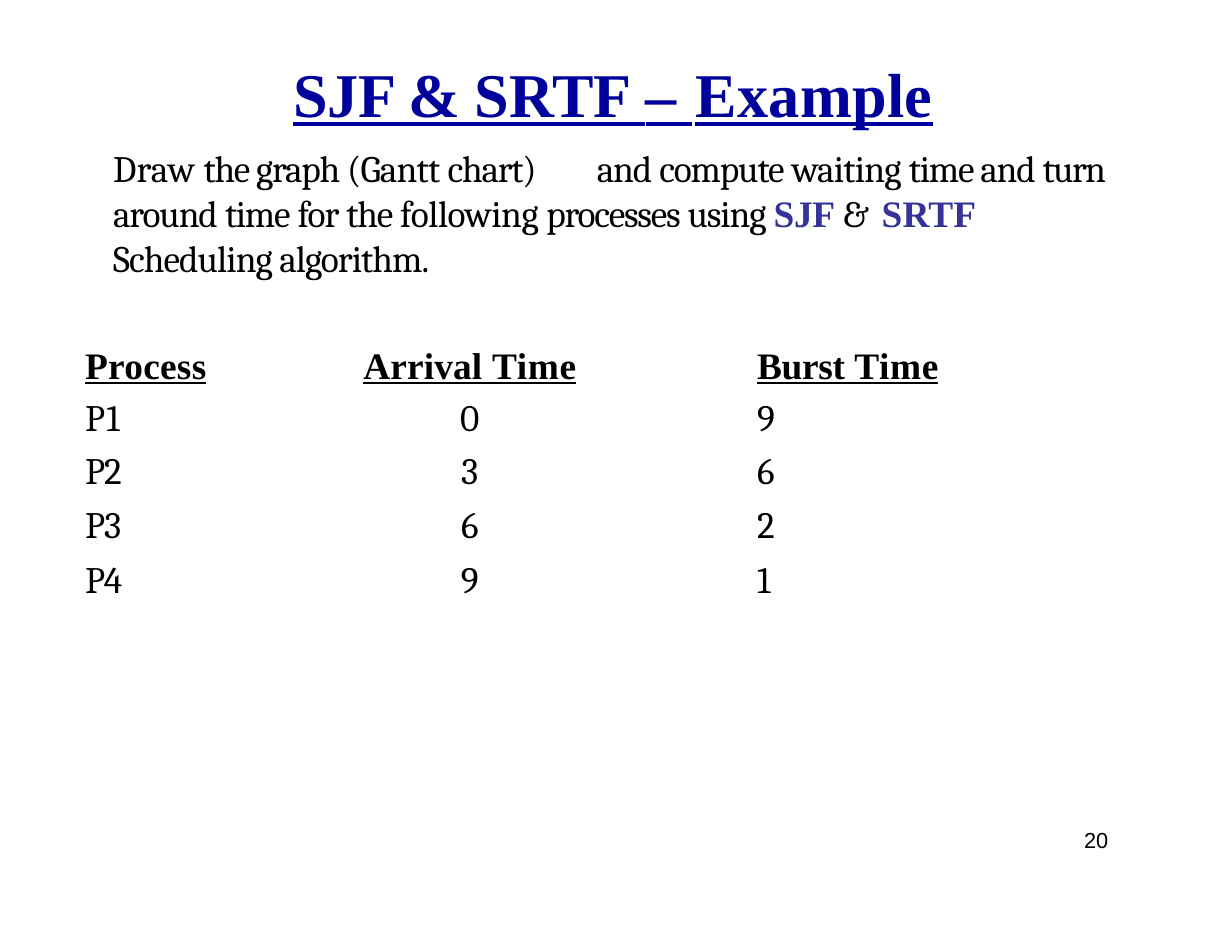
from lxml.etree import SubElement
from pptx import Presentation
from pptx.dml.color import RGBColor
from pptx.enum.text import PP_ALIGN
from pptx.oxml.ns import qn
from pptx.util import Inches, Pt

COLORS = {"title": "00009A", "text": "000000", "term": "33339A"}
SERIF, BODY, SANS = "Times New Roman", "Cambria", "Arial"
TERM = {"font": SERIF, "color": "term", "bold": True}

TITLE = [("SJF ", -0.3), ("& ", -1.2), ("SRTF ", 0.2), ("–", 0), (" ", 1.8), ("Example", 0.3)]
TASK = [
    ("Draw ", 0.1), ("the graph ", -0.8), ("(Gantt ", -0.5), ("chart)\tand ", -0.8),
    ("compute ", -0.7), ("waiting ", -0.5), ("time and ", -0.8), ("turn ", -1),
    ("around ", -0.7), ("time ", -0.8), ("for ", -0.7), ("the ", -0.8),
    ("following ", -0.3), ("processes ", -0.8), ("using ", -0.7),
    ("SJF ", -0.2, TERM), ("& ", 1.6), ("SRTF ", 0.1, TERM),
    ("Scheduling algorithm.", -0.6),
]
HEADS = [
    [("Process", 0.2)],
    [("Arrival", 0.1), (" ", -0.1), ("Time", 0.4)],
    [("Burst", -0.2), (" ", -0.5), ("Time", 0.4)],
]
JOBS = [("P1", 0.9, "0", "9"), ("P2", -0.6, "3", "6"),
        ("P3", -0.5, "6", "2"), ("P4", -0.7, "9", "1")]
WIDTHS = [1.76, 3.41, 2.53]
HEIGHTS = [0.39, 0.46, 0.48, 0.48, 0.43]
INDENTS = [0.03, 0, 0.86]
ALIGNS = [PP_ALIGN.LEFT, PP_ALIGN.CENTER, PP_ALIGN.LEFT]


def write(frame, runs, size=24, font=BODY, color="text", bold=False,
          line=False, align=PP_ALIGN.LEFT, lead=None, tab=None):
    par = frame.paragraphs[0]
    par.alignment = align
    par.space_before = Pt(0)
    if lead:
        par.line_spacing = Pt(lead)
    if tab:
        tabs = SubElement(par._p.get_or_add_pPr(), qn("a:tabLst"))
        SubElement(tabs, qn("a:tab"), pos=str(Inches(tab)), algn="l")
    for text, gap, *extra in runs:
        look = {"font": font, "color": color, "bold": bold, **(extra[0] if extra else {})}
        run = par.add_run()
        run.text = text
        run.font.size = Pt(size)
        run.font.name = look["font"]
        run.font.bold = look["bold"]
        run.font.underline = line
        run.font.color.rgb = RGBColor.from_string(COLORS[look["color"]])
        run.font._element.set("spc", str(round(gap * 100)))


def pad(part, left, top):
    part.margin_left, part.margin_top = Inches(left), Inches(top)
    part.margin_right = part.margin_bottom = 0


def box(slide, place, runs, **look):
    frame = slide.shapes.add_textbox(*map(Inches, place)).text_frame
    frame.word_wrap = True
    pad(frame, 0.01, 0.02)
    write(frame, runs, **look)


def grid(slide):
    rows = [HEADS] + [[[(name, gap)], [(start, 0)], [(burst, 0)]]
                      for name, gap, start, burst in JOBS]
    place = map(Inches, (0.73, 3.14, sum(WIDTHS), sum(HEIGHTS)))
    table = slide.shapes.add_table(len(rows), len(WIDTHS), *place).table
    table.first_row = table.horz_banding = False
    for col, width in zip(table.columns, WIDTHS):
        col.width = Inches(width)
    for i, row in enumerate(rows):
        table.rows[i].height = Inches(HEIGHTS[i])
        head = i == 0
        lead = 22.8 if head else 28.5 if i == len(rows) - 1 else None
        top = 0 if head else 0.02 if i == 1 else 0.04
        for j, runs in enumerate(row):
            cell = table.cell(i, j)
            cell.fill.background()
            pad(cell, INDENTS[j], top)
            write(cell.text_frame, runs, font=SERIF if head else BODY, bold=head,
                  line=head, align=ALIGNS[j], lead=lead)


def main():
    deck = Presentation()
    deck.slide_width, deck.slide_height = Inches(11), Inches(8.5)
    slide = deck.slides.add_slide(deck.slide_layouts[6])
    box(slide, (2.61, 0.47, 5.81, 0.7), TITLE, size=40, font=SERIF,
        color="title", bold=True, line=True)
    box(slide, (1, 1.28, 9.02, 1.23), TASK, tab=4.32)
    grid(slide)
    box(slide, (9.67, 7.36, 0.24, 0.25), [("20", -0.1)], size=14, font=SANS)
    deck.save("out.pptx")


if __name__ == "__main__":
    main()
